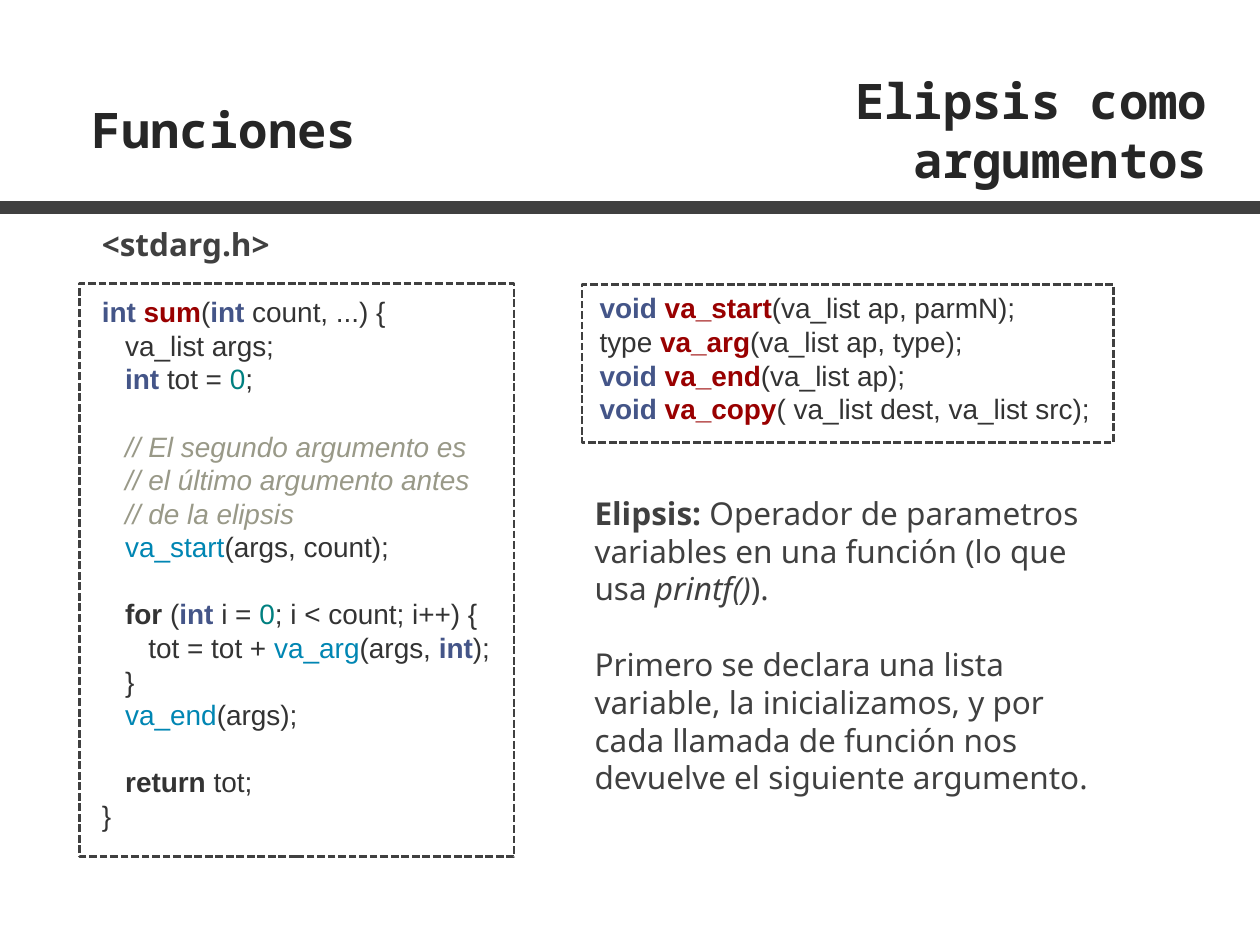
from pptx import Presentation
from pptx.dml.color import RGBColor
from pptx.enum.dml import MSO_LINE_DASH_STYLE as Dash
from pptx.enum.shapes import MSO_SHAPE as Shape
from pptx.enum.text import MSO_ANCHOR as Anchor, MSO_AUTO_SIZE as AutoSize, PP_ALIGN as Align
from pptx.util import Inches, Pt

THEME = {
    "title": {"font": "Noto Sans Mono", "size": 28},
    "body": {"font": "Noto Sans", "size": 18},
    "code": {"font": "Arial", "size": 16},
    "line_height": 1.2,
    "rule": "404040",
    # style: colour, bold, italic
    "heading": ("262626", True, False),
    "text": ("404040", False, False),
    "strong": ("404040", True, False),
    "emphasis": ("404040", False, True),
    "plain": ("333333", False, False),
    "keyword": ("333333", True, False),
    "type": ("445588", True, False),
    "function": ("990000", True, False),
    "call": ("0086B3", False, False),
    "number": ("008080", False, False),
    "comment": ("999988", False, True),
}

presentation = Presentation()
presentation.slide_width, presentation.slide_height = Inches(10), Inches(7.5)
slide = presentation.slides.add_slide(presentation.slide_layouts[5])
COLUMN = presentation.slide_width / 100
ROW = presentation.slide_height / 75


def grid(left, top, width, height):
    """Turn columns and rows into slide lengths."""
    return [round(n * unit) for n, unit in zip((left, top, width, height), (COLUMN, ROW) * 2)]


def write(shape, paragraphs, face="body", align=Align.LEFT):
    """Each paragraph is (indent level, blank lines before, [(style, text), ...])."""
    font_name, size = THEME[face]["font"], THEME[face]["size"]
    line = size * THEME["line_height"]
    frame = shape.text_frame
    frame.word_wrap = True
    frame.auto_size = AutoSize.NONE
    frame.vertical_anchor = Anchor.TOP
    for index, (level, gap, runs) in enumerate(paragraphs):
        paragraph = frame.add_paragraph() if index else frame.paragraphs[0]
        paragraph.alignment = align
        paragraph.line_spacing = Pt(line)
        paragraph.space_before = Pt(gap * line)
        properties = paragraph._p.get_or_add_pPr()
        properties.set("marL", str(Pt(level * size * 0.834)))  # three Arial spaces a level
        properties.set("indent", "0")
        for style, text in runs:
            run = paragraph.add_run()
            run.text = text
            colour, run.font.bold, run.font.italic = THEME[style]
            run.font.name, run.font.size = font_name, Pt(size)
            run.font.color.rgb = RGBColor.from_string(colour)


# Header
title = slide.shapes.title
title.left, title.top, title.width, title.height = grid(6.3, 7.4, 36, 5.7)
write(title, [(0, 0, [("heading", "Funciones")])], face="title")

topic = slide.shapes.add_textbox(*grid(46.6, 5.1, 50.2, 10.3))
write(topic, [(0, 0, [("heading", "Elipsis como argumentos")])], face="title", align=Align.RIGHT)

rule = slide.shapes.add_shape(Shape.RECTANGLE, *grid(-3.8, 16, 105.5, 0.9))
rule.shadow.inherit = False
rule.fill.solid()
rule.fill.fore_color.rgb = rule.line.color.rgb = RGBColor.from_string(THEME["rule"])
rule.line.width = Pt(1)

# Dashed frames around the code
for cells in ((6.3, 22.5, 34.5, 45.5), (46.2, 22.6, 42.2, 12.5)):
    frame_box = slide.shapes.add_shape(Shape.RECTANGLE, *grid(*cells))
    frame_box.shadow.inherit = False
    frame_box.fill.background()
    frame_box.line.color.rgb = RGBColor.from_string(THEME["rule"])
    frame_box.line.width = Pt(1.5)
    frame_box.line.dash_style = Dash.SQUARE_DOT

# Code
sum_code = [
    (0, 0, [("type", "int "), ("function", "sum"), ("plain", "("), ("type", "int"),
            ("plain", " count, ...) {")]),
    (1, 0, [("plain", "va_list args;")]),
    (1, 0, [("type", "int"), ("plain", " tot = "), ("number", "0"), ("plain", ";")]),
    (1, 1, [("comment", "// El segundo argumento es")]),
    (1, 0, [("comment", "// el último argumento antes")]),
    (1, 0, [("comment", "// de la elipsis")]),
    (1, 0, [("call", "va_start"), ("plain", "(args, count);")]),
    (1, 1, [("keyword", "for"), ("plain", " ("), ("type", "int"), ("plain", " i = "),
            ("number", "0"), ("plain", "; i < count; i++) {")]),
    (2, 0, [("plain", "tot = tot + "), ("call", "va_arg"), ("plain", "(args, "),
            ("type", "int"), ("plain", ");")]),
    (1, 0, [("plain", "}")]),
    (1, 0, [("call", "va_end"), ("plain", "(args);")]),
    (1, 1, [("keyword", "return"), ("plain", " tot;")]),
    (0, 0, [("plain", "}")]),
]
write(slide.shapes.add_textbox(*grid(7.1, 22.9, 33.7, 44.7)), sum_code, face="code")

signatures = [
    ("type", "void ", "va_start", "(va_list ap, parmN);"),
    ("plain", "type ", "va_arg", "(va_list ap, type);"),
    ("type", "void ", "va_end", "(va_list ap);"),
    ("type", "void ", "va_copy", "( va_list dest, va_list src);"),
]
write(slide.shapes.add_textbox(*grid(46.6, 22.6, 41.8, 11.7)),
      [(0, 0, [(style, result), ("function", name), ("plain", arguments)])
       for style, result, name, arguments in signatures], face="code")

# Explanation
write(slide.shapes.add_textbox(*grid(7.1, 17.4, 32.9, 4)), [(0, 0, [("strong", "<stdarg.h>")])])
write(slide.shapes.add_textbox(*grid(46.2, 38.7, 42.9, 25)), [
    (0, 0, [("strong", "Elipsis:"),
            ("text", " Operador de parametros variables en una función (lo que usa "),
            ("emphasis", "printf()"), ("text", ").")]),
    (0, 1, [("text", "Primero se declara una lista variable, la inicializamos, y por cada "
                     "llamada de función nos devuelve el siguiente argumento.")]),
])

presentation.save("out.pptx")
